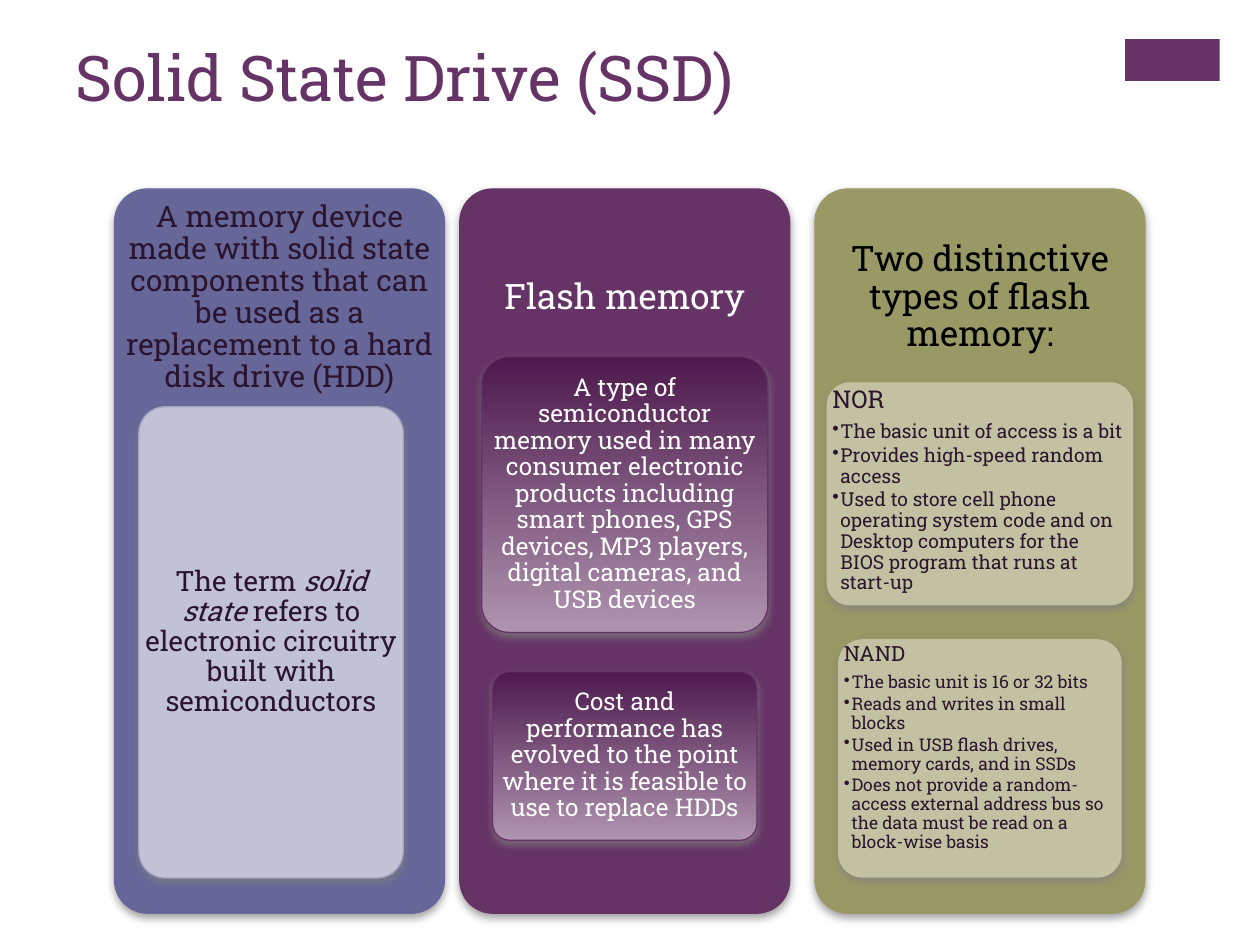
import pptx
import pptx.util
import pptx.dml.color
import pptx.enum.shapes
import pptx.enum.text
import pptx.oxml.ns
from lxml import etree

Cm, Pt = pptx.util.Cm, pptx.util.Pt
ALIGN, ANCHOR = pptx.enum.text.PP_ALIGN, pptx.enum.text.MSO_ANCHOR
qn = pptx.oxml.ns.qn

FONT = "Roboto Slab"
COLORS = {
    "purple": "663366", "blue": "666699", "olive": "999966",
    "pale blue": "C2C2D6", "blue edge": "A3A3C2", "pale olive": "C2C2A3",
    "deep purple": "4D1A4D", "light purple": "AF94AF",
    "dark": "2B142D", "white": "FFFFFF", "black": "000000", "shadow": "808080",
}

# Content: a paragraph is a list of (text, italic) runs; cards are in cm
TITLE = "Solid State Drive (SSD)"
GRADIENT = ("deep purple", "light purple")
COLUMNS = [
    dict(left=2.31, fill="blue", color="dark", size=17, inset=0.18,
         head="A memory device made with solid state components that can be "
              "used as a replacement to a hard disk drive (HDD)",
         cards=[dict(top=8.2, width=5.33, height=9.5, shift=-0.17,
                     fill="pale blue", line="blue edge", color="dark", size=16,
                     runs=[("The term ", False), ("solid state ", True),
                           ("refers to electronic circuitry built with semiconductors", False)])]),
    dict(left=9.27, fill="purple", color="white", size=20, inset=0.2,
         head="Flash memory",
         cards=[dict(top=7.19, width=5.77, height=5.56,
                     fill=GRADIENT, line="purple", color="white", size=14,
                     runs=[("A type of semiconductor memory used in many consumer "
                            "electronic products including smart phones, GPS devices, "
                            "MP3 players, digital cameras, and USB devices", False)]),
                dict(top=13.54, width=5.33, height=3.4,
                     fill=GRADIENT, line="purple", color="white", size=14,
                     runs=[("Cost and performance has evolved to the point where it "
                            "is feasible to use to replace HDDs", False)])]),
    dict(left=16.43, fill="olive", color="black", size=20, inset=0.2,
         head="Two distinctive types of flash memory:",
         cards=[dict(top=7.72, width=6.15, height=4.47,
                     fill="pale olive", line="pale olive", color="dark", size=14,
                     runs=[("NOR", False)], bullet_size=11,
                     bullets=["The basic unit of access is a bit",
                              "Provides high-speed random access",
                              "Used to store cell phone operating system code and on "
                              "Desktop computers for the BIOS program that runs at start-up"]),
                dict(top=12.9, width=5.69, height=4.78,
                     fill="pale olive", line="pale olive", color="dark", size=12,
                     runs=[("NAND", False)], bullet_size=10,
                     bullets=["The basic unit is 16 or 32 bits",
                              "Reads and writes in small blocks",
                              "Used in USB flash drives, memory cards, and in SSDs",
                              "Does not provide a random-access external address bus so "
                              "the data must be read on a block-wise basis"])]),
]
COL_TOP, COL_WIDTH, COL_HEIGHT, HEAD_HEIGHT = 3.81, 6.65, 14.6, 4.39


def rgb(name):
    return pptx.dml.color.RGBColor.from_string(COLORS[name])


def add_panel(box, fill, line):
    """Rounded rectangle with a soft shadow; a pair of fills makes a gradient."""
    s = slide.shapes.add_shape(pptx.enum.shapes.MSO_SHAPE.ROUNDED_RECTANGLE,
                               *map(Cm, box))
    s.adjustments[0] = 0.1
    if isinstance(fill, tuple):
        s.fill.gradient()
        s.fill.gradient_angle = 270
        for stop, name, position in zip(s.fill.gradient_stops, fill, (0, 1)):
            stop.color.rgb = rgb(name)
            stop.position = position
    else:
        s.fill.solid()
        s.fill.fore_color.rgb = rgb(fill)
    s.line.color.rgb = rgb(line)
    s.line.width = Pt(0.75)
    s.shadow.inherit = False
    effects = s._element.spPr.find(qn("a:effectLst"))
    shadow = etree.SubElement(effects, qn("a:outerShdw"), blurRad=str(Pt(5)),
                              dist=str(Pt(2)), dir="5400000", rotWithShape="0")
    color = etree.SubElement(shadow, qn("a:srgbClr"), val=COLORS["shadow"])
    etree.SubElement(color, qn("a:alpha"), val="75000")


def add_frame(box, anchor, inset_x, inset_y):
    tf = slide.shapes.add_textbox(*map(Cm, box)).text_frame
    tf.word_wrap = True
    tf.vertical_anchor = anchor
    tf.margin_left = tf.margin_right = Cm(inset_x)
    tf.margin_top = tf.margin_bottom = Cm(inset_y)
    return tf


def write(p, runs, size, color, align=ALIGN.LEFT, spacing=0.9, after=0.35):
    p.alignment = align
    p.line_spacing = spacing
    p.space_after = Pt(round(size * after, 2))
    for text, italic in runs:
        r = p.add_run()
        r.text = text
        r.font.name, r.font.size, r.font.italic = FONT, Pt(size), italic
        r.font.color.rgb = rgb(color)


def add_bullet(p):
    pPr = p._p.get_or_add_pPr()
    pPr.set("marL", str(Cm(0.16)))
    pPr.set("indent", str(-Cm(0.16)))
    etree.SubElement(pPr, qn("a:buChar"), char="•")


prs = pptx.Presentation()
prs.slide_width, prs.slide_height = Cm(25.4), Cm(19.05)
slide = prs.slides.add_slide(prs.slide_layouts[6])

# Corner block and title
s = slide.shapes.add_shape(pptx.enum.shapes.MSO_SHAPE.RECTANGLE,
                           Cm(22.68), Cm(0.79), Cm(1.91), Cm(0.84))
s.shadow.inherit = False
s.fill.solid()
s.fill.fore_color.rgb = rgb("purple")
s.line.fill.background()
tf = add_frame((1.27, 0.64, 20.98, 2.46), ANCHOR.TOP, 0.25, 0.13)
write(tf.paragraphs[0], [(TITLE, False)], 36, "purple", spacing=1.0, after=0)

# Columns, each with a heading and its cards
for col in COLUMNS:
    add_panel((col["left"], COL_TOP, COL_WIDTH, COL_HEIGHT), col["fill"], col["fill"])
    tf = add_frame((col["left"], COL_TOP, COL_WIDTH, HEAD_HEIGHT),
                   ANCHOR.MIDDLE, col["inset"], col["inset"])
    write(tf.paragraphs[0], [(col["head"], False)], col["size"], col["color"], ALIGN.CENTER)

    for card in col["cards"]:
        left = col["left"] + (COL_WIDTH - card["width"]) / 2 + card.get("shift", 0)
        box = (left, card["top"], card["width"], card["height"])
        bullets = card.get("bullets", [])
        add_panel(box, card["fill"], card["line"])
        tf = add_frame(box, ANCHOR.TOP if bullets else ANCHOR.MIDDLE, 0.1, 0.08)
        write(tf.paragraphs[0], card["runs"], card["size"], card["color"],
              ALIGN.LEFT if bullets else ALIGN.CENTER)
        for text in bullets:
            p = tf.add_paragraph()
            write(p, [(text, False)], card["bullet_size"], card["color"], after=0.15)
            add_bullet(p)

prs.save("out.pptx")
